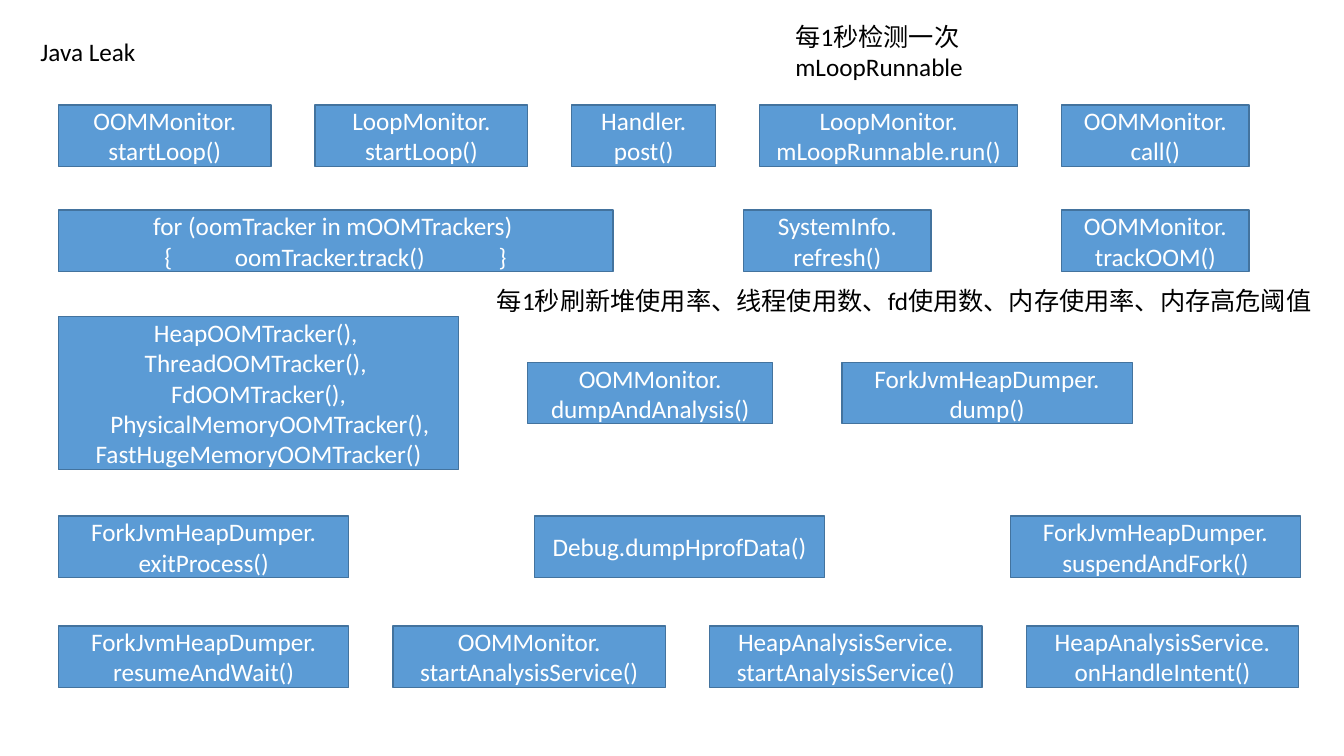
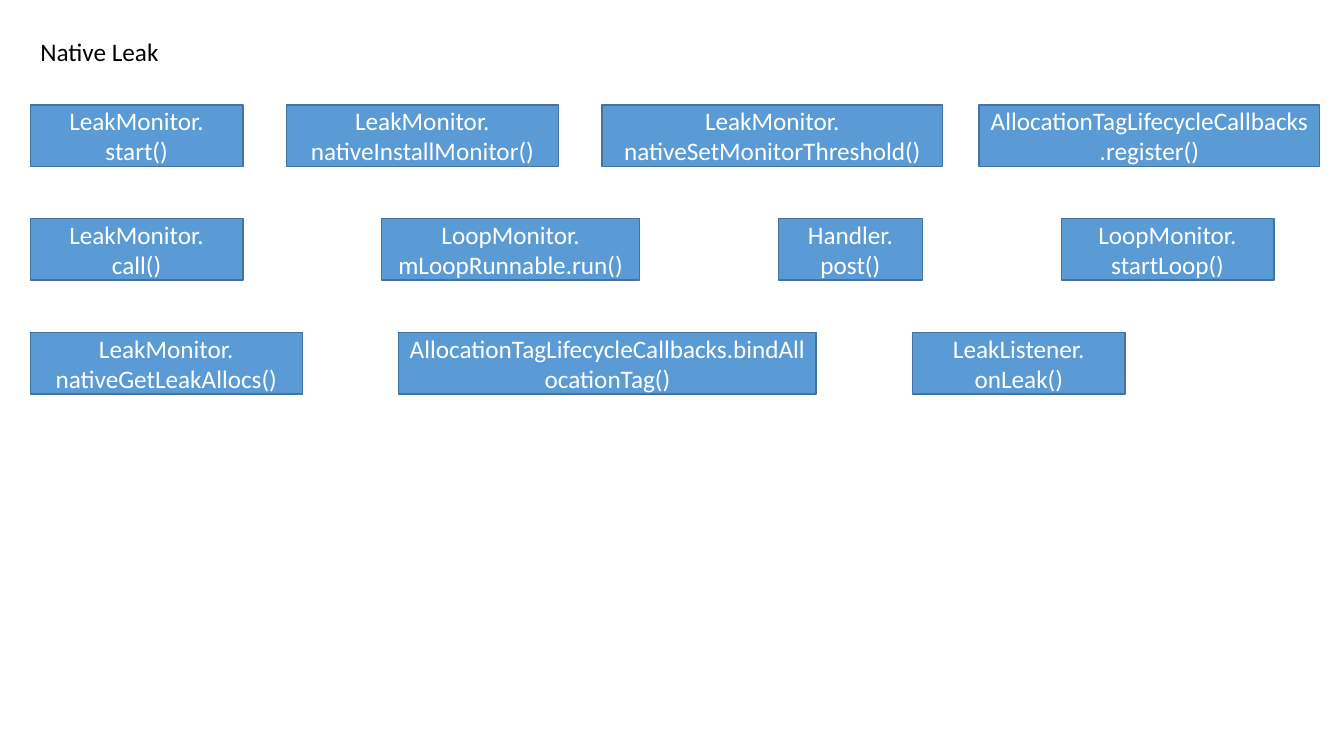
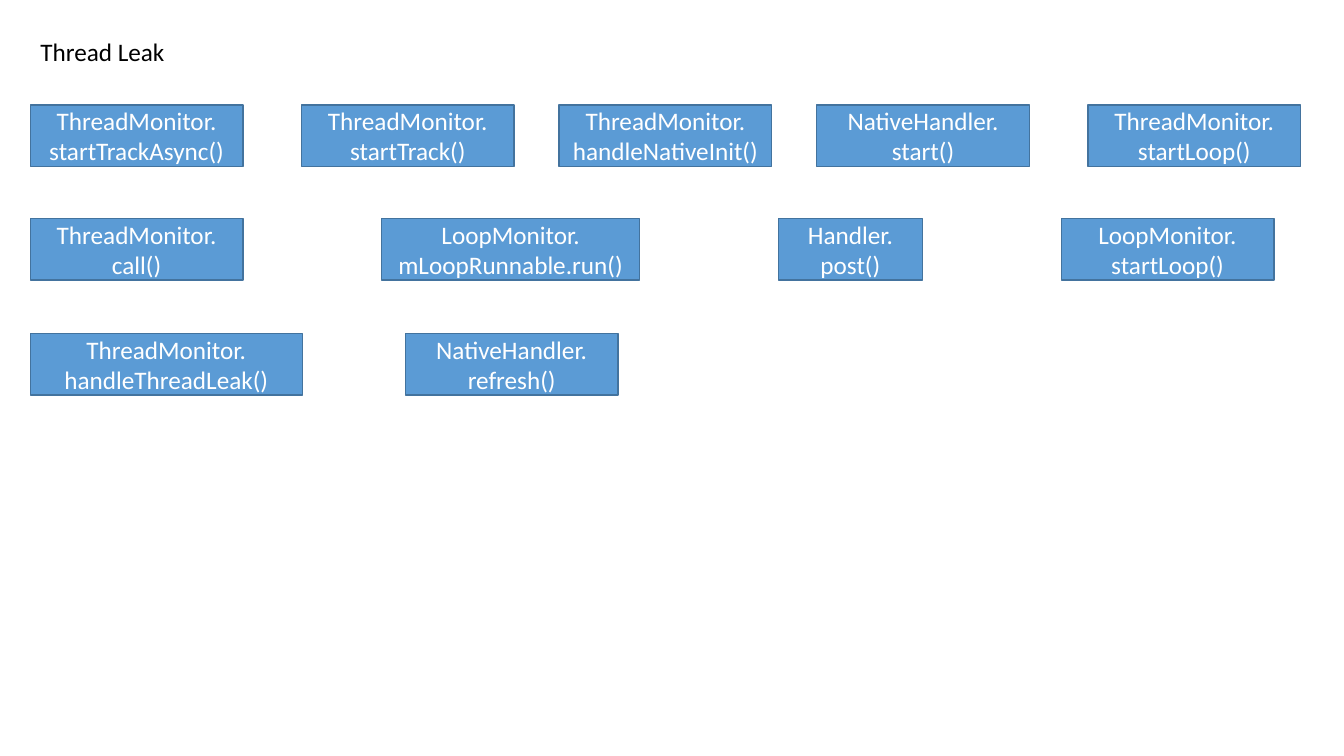
"""Build three slides that chart the call flow of leak monitors."""
from typing import NamedTuple

from pptx import Presentation
from pptx import util as u
from pptx.dml.color import RGBColor
from pptx.enum import shapes, text

WIDE, HIGH = u.Inches(13.33), u.Inches(7.5)
COLS, ROWS = 133.3, 75
FONT, SIZE = "Calibri", u.Pt(18)
BLUE = RGBColor(0x5B, 0x9B, 0xD5)
EDGE = RGBColor(0x43, 0x73, 0x9E)
WHITE = RGBColor(0xFF, 0xFF, 0xFF)
BLACK = RGBColor(0, 0, 0)
BOX = 6.1
EDGE_L, EDGE_J = 3, 5.8
TINY, SLIM, BASE, LOOP, MID, WIDER, LONG = 14.3, 18.6, 21.1, 25.6, 27, 28.8, 33.8


class Box(NamedTuple):
    """A call, as wide and tall as stated in grid cells."""
    wide: float
    lines: list[str]
    high: float = BOX


class Row(NamedTuple):
    """Boxes centred on one line, with an equal gap."""
    mid: float
    left: float
    gap: float
    boxes: list[Box]


class Note(NamedTuple):
    """A free caption."""
    left: float
    top: float
    wide: float
    high: float
    lines: list[str]


class Page(NamedTuple):
    """One slide."""
    title: str
    rows: list[Row]
    notes: list[Note] = []


def call(wide: float, owner: str, func: str) -> Box:
    """Make a box with the owner above its function."""
    return Box(wide, [f"{owner}.", f"{func}()"])


POST = call(TINY, "Handler", "post")
RUN = call(LOOP, "LoopMonitor", "mLoopRunnable.run")
START = call(BASE, "LoopMonitor", "startLoop")


def cycle(owner: str) -> Row:
    """Make the row of the polling loop that ends in the owner."""
    return Row(24.75, EDGE_L, 13.75, [call(BASE, owner, "call"), RUN, POST, START])


JAVA = Page("Java Leak", [
    Row(13.45, EDGE_J, 4.35, [
        call(BASE, "OOMMonitor", "startLoop"), START, POST, RUN,
        call(SLIM, "OOMMonitor", "call")]),
    Row(23.9, EDGE_J, 12.95, [
        Box(55, ["for (oomTracker in mOOMTrackers) ",
                 "{           oomTracker.track()             }"]),
        call(SLIM, "SystemInfo", "refresh"),
        call(SLIM, "OOMMonitor", "trackOOM")]),
    Row(39, EDGE_J, 6.85, [
        Box(39.7, ["HeapOOMTracker(), ", "ThreadOOMTracker(), ", "FdOOMTracker(),",
                   "    PhysicalMemoryOOMTracker(), FastHugeMemoryOOMTracker()"], 15.2),
        call(24.3, "OOMMonitor", "dumpAndAnalysis"),
        call(WIDER, "ForkJvmHeapDumper", "dump")]),
    Row(54.25, EDGE_J, 18.4, [
        call(WIDER, "ForkJvmHeapDumper", "exitProcess"),
        Box(WIDER, ["Debug.dumpHprofData()"]),
        call(WIDER, "ForkJvmHeapDumper", "suspendAndFork")]),
    Row(65.15, EDGE_J, 4.4, [
        call(WIDER, "ForkJvmHeapDumper", "resumeAndWait"),
        call(MID, "OOMMonitor", "startAnalysisService"),
        call(MID, "HeapAnalysisService", "startAnalysisService"),
        call(MID, "HeapAnalysisService", "onHandleIntent")]),
], [
    Note(77.9, 1.6, 20.5, 7.1, ["每1秒检测一次", "mLoopRunnable"]),
    Note(48.3, 27.8, 83.1, 4,
         ["每1秒刷新堆使用率、线程使用数、fd使用数、内存使用率、内存高危阈值"]),
])

NATIVE = Page("Native Leak", [
    Row(13.45, EDGE_L, 4.3, [
        call(BASE, "LeakMonitor", "start"),
        call(MID, "LeakMonitor", "nativeInstallMonitor"),
        call(LONG, "LeakMonitor", "nativeSetMonitorThreshold")]),
    Row(13.45, 97.1, 0, [Box(LONG, ["AllocationTagLifecycleCallbacks.register()"])]),
    cycle("LeakMonitor"),
    Row(36.05, EDGE_L, 9.55, [
        call(MID, "LeakMonitor", "nativeGetLeakAllocs"),
        Box(41.4, ["AllocationTagLifecycleCallbacks.bindAllocationTag()"]),
        call(BASE, "LeakListener", "onLeak")]),
])

THREAD = Page("Thread Leak", [
    Row(13.45, EDGE_L, 0, [call(BASE, "ThreadMonitor", "startTrackAsync")]),
    Row(13.45, 29.9, 4.45, [
        call(BASE, "ThreadMonitor", "startTrack"),
        call(BASE, "ThreadMonitor", "handleNativeInit"),
        call(BASE, "NativeHandler", "start")]),
    Row(13.45, 107.9, 0, [call(BASE, "ThreadMonitor", "startLoop")]),
    cycle("ThreadMonitor"),
    Row(36.15, EDGE_L, 10.2, [
        call(MID, "ThreadMonitor", "handleThreadLeak"),
        call(BASE, "NativeHandler", "refresh")]),
])


def cells(left: float, top: float, wide: float, high: float) -> list[int]:
    """Turn grid cells into slide lengths."""
    return [round(WIDE * left / COLS), round(HIGH * top / ROWS),
            round(WIDE * wide / COLS), round(HIGH * high / ROWS)]


def write(frame, lines: list[str], ink: RGBColor, align, anchor) -> None:
    """Fill a text frame with one paragraph per line."""
    frame.word_wrap = True
    frame.auto_size = text.MSO_AUTO_SIZE.NONE
    frame.vertical_anchor = anchor
    for i, line in enumerate(lines):
        para = frame.add_paragraph() if i else frame.paragraphs[0]
        para.alignment = align
        run = para.add_run()
        run.text = line
        run.font.name, run.font.size = FONT, SIZE
        run.font.color.rgb = ink


def plain(frame, lines: list[str]) -> None:
    """Write black text from the top left."""
    write(frame, lines, BLACK, text.PP_ALIGN.LEFT, text.MSO_ANCHOR.TOP)


def draw_row(slide, row: Row) -> None:
    """Draw the boxes of a row from left to right."""
    left = row.left
    for box in row.boxes:
        shape = slide.shapes.add_shape(
            shapes.MSO_SHAPE.RECTANGLE,
            *cells(left, row.mid - box.high / 2, box.wide, box.high))
        shape.shadow.inherit = False
        shape.fill.solid()
        shape.fill.fore_color.rgb = BLUE
        shape.line.color.rgb = EDGE
        shape.line.width = u.Pt(1)
        write(shape.text_frame, box.lines, WHITE,
              text.PP_ALIGN.CENTER, text.MSO_ANCHOR.MIDDLE)
        left += box.wide + row.gap


def draw_page(deck, page: Page) -> None:
    """Add a slide with its title, rows and notes."""
    slide = deck.slides.add_slide(deck.slide_layouts[5])
    title = slide.shapes.title
    title.left, title.top, title.width, title.height = cells(EDGE_L, 3.1, 20, 4)
    plain(title.text_frame, [page.title])
    for row in page.rows:
        draw_row(slide, row)
    for note in page.notes:
        area = slide.shapes.add_textbox(*cells(*note[:4]))
        plain(area.text_frame, note.lines)


def main() -> None:
    """Build and save the deck."""
    deck = Presentation()
    deck.slide_width, deck.slide_height = WIDE, HIGH
    for page in (JAVA, NATIVE, THREAD):
        draw_page(deck, page)
    deck.save("out.pptx")


if __name__ == "__main__":
    main()
